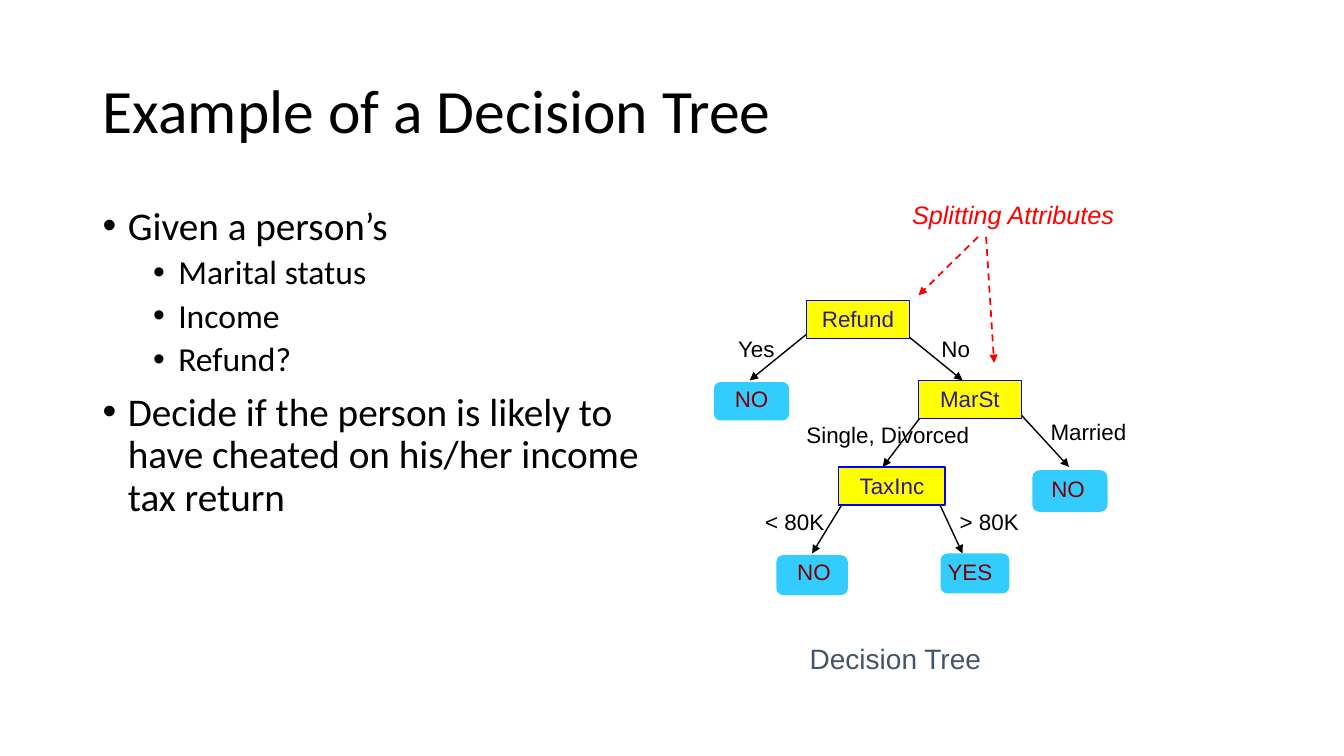
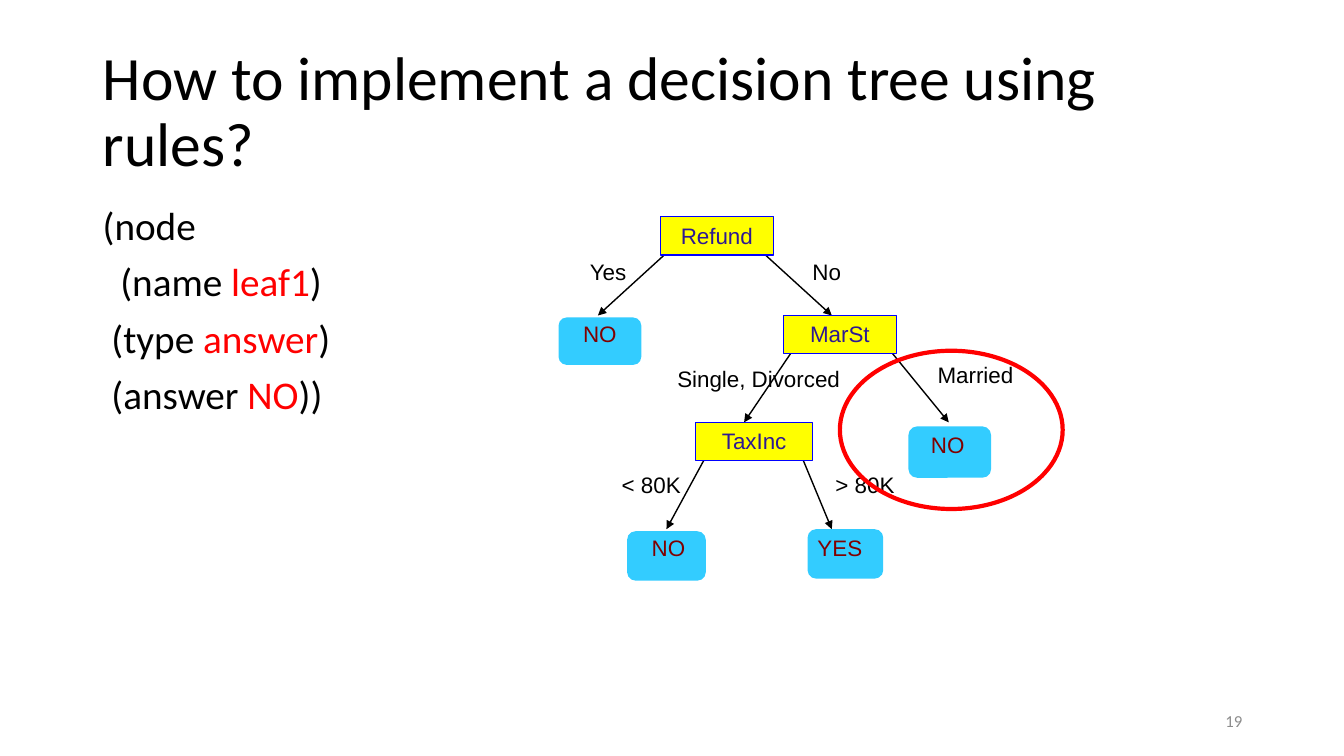
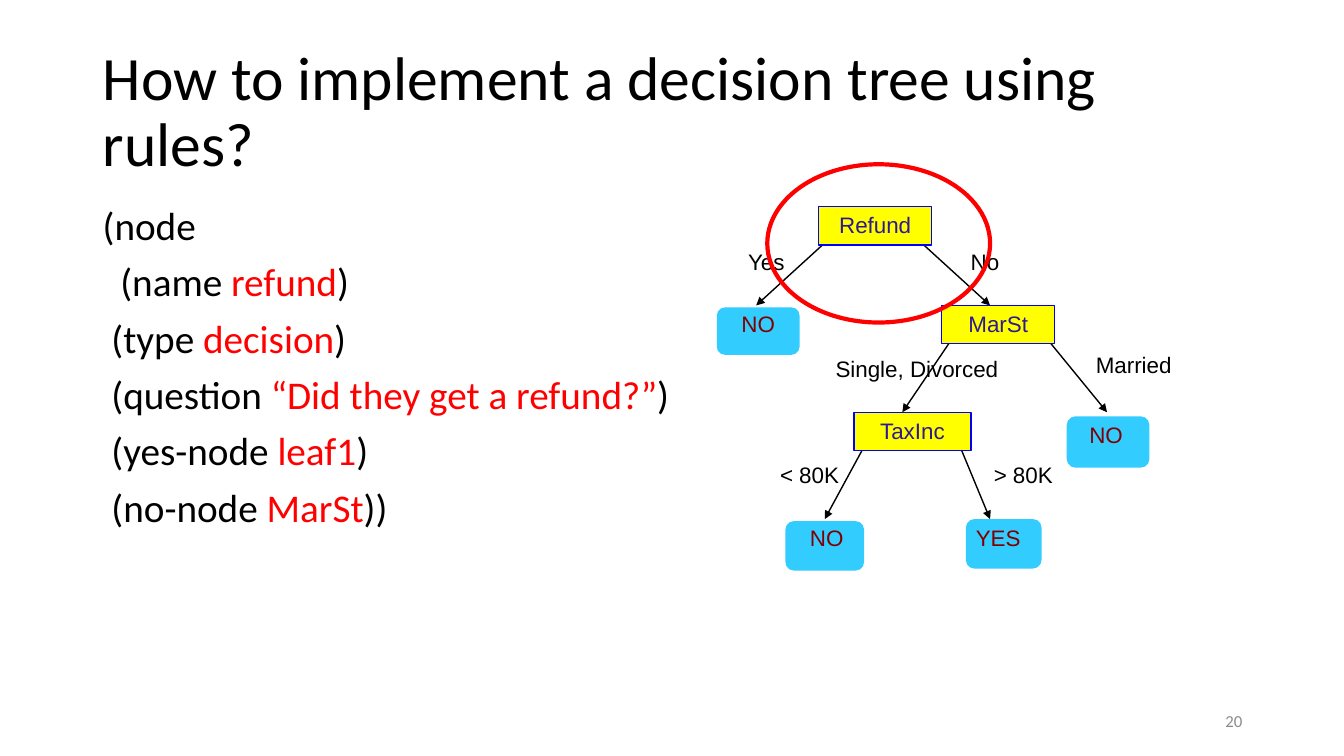
from lxml import etree
from pptx import Presentation
from pptx.dml.color import RGBColor
from pptx.enum import dml, shapes, text
from pptx.oxml import ns
from pptx.util import Inches, Pt

BLACK = RGBColor(0x00, 0x00, 0x00)
WHITE = RGBColor(0xFF, 0xFF, 0xFF)
RED = RGBColor(0xFF, 0x00, 0x00)
YELLOW = RGBColor(0xFF, 0xFF, 0x00)
BLUE = RGBColor(0x00, 0x00, 0xFF)
SKY = RGBColor(0x33, 0xCC, 0xFF)
INDIGO = RGBColor(0x2D, 0x19, 0x93)
MAROON = RGBColor(0x80, 0x00, 0x00)
SLATE = RGBColor(0x44, 0x54, 0x6A)
GREY = RGBColor(0x8C, 0x8C, 0x8C)

LEFT, CENTER, RIGHT = text.PP_ALIGN.LEFT, text.PP_ALIGN.CENTER, text.PP_ALIGN.RIGHT
SHAPE = shapes.MSO_SHAPE
LABEL_HEIGHT = 0.37
DECISION_HEIGHT = 0.38

# Tree measures are inches from the top left corner of the root box.
BRANCHES = [
    ((1.41, 2.4), (1.7, 3.1)),
    ((0.44, 2.4), (0.06, 3.1)),
    ((1.31, 1.33), (0.83, 2.04)),
    ((2.28, 1.33), (2.86, 2.04)),
    ((1.02, 0.36), (1.7, 0.98)),
    ((0.06, 0.36), (-0.62, 0.98)),
]
# name, left, top, width
DECISIONS = [
    ("Refund", 0, 0, 1.12),
    ("MarSt", 1.22, 0.98, 1.12),
    ("TaxInc", 0.35, 2.04, 1.16),
]
# answer, left, top, width, height, centre and top of the wording
LEAVES = [
    ("YES", 1.46, 3.1, 0.75, 0.49, 1.78, 3.1),
    ("NO", -0.33, 3.12, 0.78, 0.49, 0.08, 3.1),
    ("NO", -1.01, 1, 0.82, 0.47, -0.6, 0.98),
    ("NO", 2.46, 2.08, 0.82, 0.51, 2.85, 2.08),
]
# wording, right edge, top, width
BRANCH_LABELS = [
    ("Yes", -0.24, 0.36, 0.58),
    ("No", 1.89, 0.36, 0.48),
    ("Married ", 3.66, 1.38, 1.02),
    ("Single, Divorced", 1.88, 1.42, 1.82),
    ("< 80K", 0.3, 2.48, 0.79),
    ("> 80K", 2.42, 2.48, 0.79),
]


class Deck:
    """Holds the presentation, its shared style and the current page."""

    def __init__(self):
        self.file = Presentation()
        self.file.slide_width = Inches(13.33)
        self.file.slide_height = Inches(7.5)
        self.page = None

    def add_page(self, title, number=None):
        self.page = self.file.slides.add_slide(self.file.slide_layouts[6])
        self.page.background.fill.solid()
        self.page.background.fill.fore_color.rgb = WHITE
        box = self.text(title, 0.92, 0.4, 11.5, 1.45, 44, BLACK, "Calibri", middle=True)
        box.text_frame.paragraphs[0].line_spacing = 0.9
        if number:
            self.text(number, 9.42, 6.95, 3, 0.4, 12, GREY, "Calibri", RIGHT, middle=True)

    def style(self, paragraph, size, color, font="Arial", align=LEFT, italic=False):
        paragraph.alignment = align
        for span in paragraph.runs:
            span.font.name = font
            span.font.size = Pt(size)
            span.font.color.rgb = color
            span.font.italic = italic

    def frame(self, left, top, width, height):
        box = self.page.shapes.add_textbox(*map(Inches, (left, top, width, height)))
        box.text_frame.word_wrap = True
        return box

    def text(self, words, left, top, width, height, size, color, font="Arial",
             align=LEFT, middle=False, wrap=True, italic=False):
        box = self.frame(left, top, width, height)
        box.text_frame.word_wrap = wrap
        if middle:
            box.text_frame.vertical_anchor = text.MSO_ANCHOR.MIDDLE
        box.text_frame.text = words
        self.style(box.text_frame.paragraphs[0], size, color, font, align, italic)
        return box

    def body_paragraphs(self, lines, width):
        """Yield each line with its new paragraph in the body box."""
        body = self.frame(0.92, 2, width, 4.76).text_frame
        for index, line in enumerate(lines):
            para = body.add_paragraph() if index else body.paragraphs[0]
            para.line_spacing = 0.9
            if index:
                para.space_before = Pt(10)
            yield line, para

    def bullets(self, items):
        for (level, words), para in self.body_paragraphs(items, 5.85):
            para.text = words
            para.level = level
            if level:
                para.space_before = Pt(5)
            properties = para._p.get_or_add_pPr()
            properties.set("marL", str(Inches(0.25 + 0.5 * level)))
            properties.set("indent", str(Inches(-0.25)))
            etree.SubElement(properties, ns.qn("a:buFont")).set("typeface", "Arial")
            etree.SubElement(properties, ns.qn("a:buChar")).set("char", "•")
            self.style(para, 28 - 4 * level, BLACK, "Calibri")

    def code(self, lines):
        """Each line is plain text, a red value and plain text."""
        for parts, para in self.body_paragraphs(lines, 11.5):
            for part in parts:
                para.add_run().text = part
            self.style(para, 28, BLACK, "Calibri")
            for value in para.runs[1:2]:
                value.font.color.rgb = RED

    def shape(self, kind, left, top, width, height, fill=None, line=None, weight=1):
        shape = self.page.shapes.add_shape(kind, *map(Inches, (left, top, width, height)))
        shape.shadow.inherit = False
        if fill is None:
            shape.fill.background()
        else:
            shape.fill.solid()
            shape.fill.fore_color.rgb = fill
        if line is None:
            shape.line.fill.background()
        else:
            shape.line.color.rgb = line
            shape.line.width = Pt(weight)
        return shape

    def arrow(self, start, end, color=BLACK, weight=1, dashed=False):
        arrow = self.page.shapes.add_connector(
            shapes.MSO_CONNECTOR.STRAIGHT, *map(Inches, (*start, *end)))
        arrow.line.color.rgb = color
        arrow.line.width = Pt(weight)
        if dashed:
            arrow.line.dash_style = dml.MSO_LINE.DASH
        head = etree.SubElement(arrow.line._get_or_add_ln(), ns.qn("a:tailEnd"))
        head.set("type", "triangle")
        etree.SubElement(arrow._element.spPr, ns.qn("a:effectLst"))

    def ring(self, left, top):
        self.shape(SHAPE.OVAL, left, top, 2.21, 1.57, line=RED, weight=3)

    def decision(self, name, left, top, width):
        box = self.shape(SHAPE.RECTANGLE, left, top, width, DECISION_HEIGHT, YELLOW, BLUE)
        box.text_frame.vertical_anchor = text.MSO_ANCHOR.TOP
        box.text_frame.text = name
        self.style(box.text_frame.paragraphs[0], 16, INDIGO, align=CENTER)

    def tree(self, left, top, scale_x=1, scale_y=1):
        """Draw the decision tree with its root box at left, top."""
        def place(x, y):
            return left + x * scale_x, top + y * scale_y

        for start, end in BRANCHES:
            self.arrow(place(*start), place(*end))
        for name, x, y, width in DECISIONS:
            self.decision(name, *place(x, y), width * scale_x)
        for answer, x, y, width, height, middle, text_top in LEAVES:
            leaf = self.shape(SHAPE.ROUNDED_RECTANGLE, *place(x, y),
                              width * scale_x, height * scale_y, SKY)
            leaf.adjustments[0] = 0.17
            center, label_top = place(middle, text_top)
            self.text(answer, center - 0.35, label_top, 0.7, LABEL_HEIGHT,
                      16, MAROON, align=CENTER, wrap=False)
        for words, x, y, width in BRANCH_LABELS:
            right, label_top = place(x, y)
            self.text(words, right - width, label_top, width, LABEL_HEIGHT,
                      16, BLACK, align=RIGHT, wrap=False)


def example_page(deck):
    deck.add_page("Example of a Decision Tree")
    deck.bullets([
        (0, "Given a person’s"),
        (1, "Marital status"),
        (1, "Income"),
        (1, "Refund?"),
        (0, "Decide if the person is likely to have cheated on his/her income tax return"),
    ])
    deck.tree(8, 2.98, 0.91, 0.81)
    deck.text("Splitting Attributes", 8.92, 1.93, 2.23, 0.4, 18, RED,
              align=RIGHT, wrap=False, italic=True)
    for start, end in [((9.7, 2.35), (9.11, 2.93)), ((9.78, 2.35), (9.86, 3.6))]:
        deck.arrow(start, end, RED, 1.25, dashed=True)
    caption = deck.text("Decision Tree", 7.17, 6.38, 3.42, 0.37, 20, SLATE, align=CENTER)
    caption.text_frame.paragraphs[0].line_spacing = 0.8


def rules_page(deck, number, code, root, ring):
    deck.add_page("How to implement a decision tree using rules?", number)
    deck.code(code)
    deck.tree(*root)
    deck.ring(*ring)


def main():
    deck = Deck()
    example_page(deck)
    rules_page(deck, "19", [
        ("(node",),
        ("  (name ", "leaf1", ")"),
        (" (type ", "answer", ")"),
        (" (answer ", "NO", "))"),
    ], root=(6.55, 2.15), ring=(8.33, 3.48))
    rules_page(deck, "20", [
        ("(node",),
        ("  (name ", "refund", ")"),
        (" (type ", "decision", ")"),
        (" (question ", "“Did they get a refund?”", ")"),
        (" (yes-node ", "leaf1", ")"),
        (" (no-node ", "MarSt", "))"),
    ], root=(8.12, 2.05), ring=(7.61, 1.63))
    deck.file.save("out.pptx")


if __name__ == "__main__":
    main()
